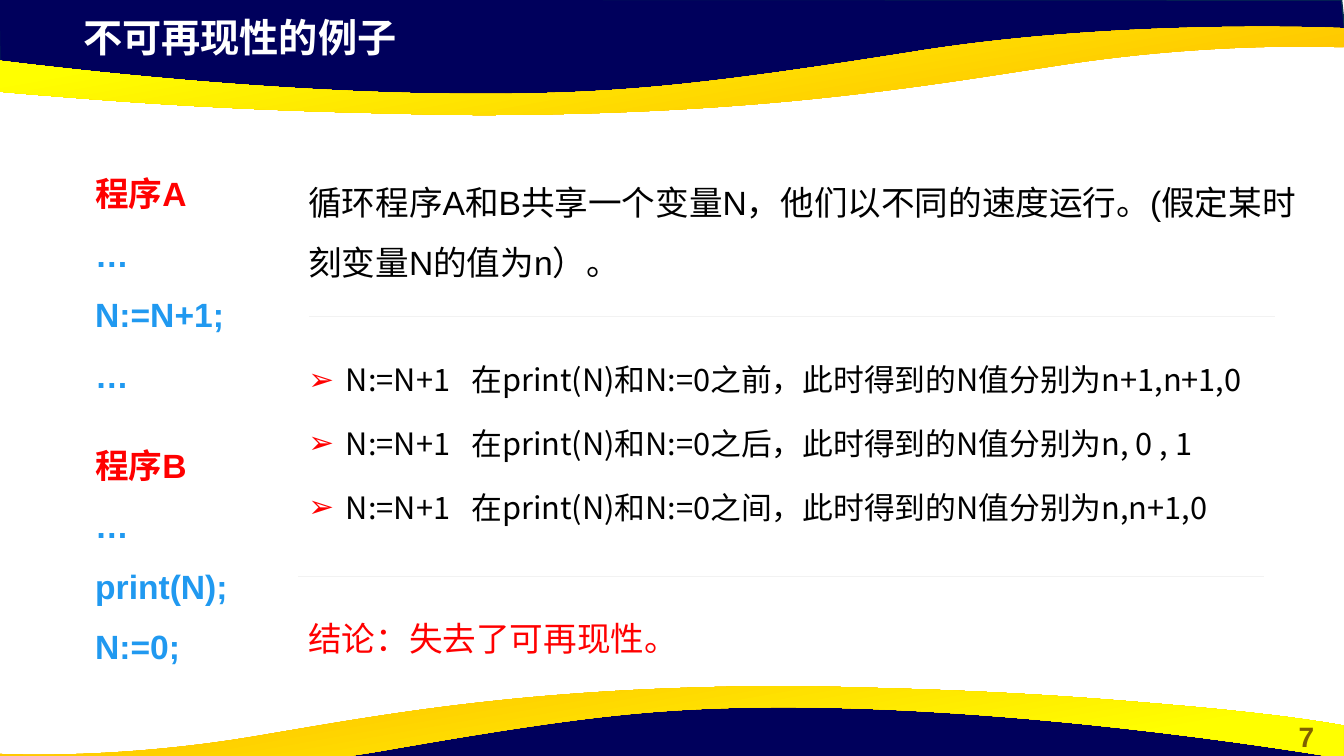
from lxml import etree
from pptx import Presentation
from pptx.dml.color import RGBColor
from pptx.enum.shapes import MSO_CONNECTOR
from pptx.enum.text import PP_ALIGN
from pptx.oxml.ns import qn
from pptx.util import Cm, Pt

LEFT, CENTER, JUSTIFY = PP_ALIGN.LEFT, PP_ALIGN.CENTER, PP_ALIGN.JUSTIFY
STRAIGHT = MSO_CONNECTOR.STRAIGHT
COLORS = {
    "navy": "00005C", "edge": "05304F", "orange": "FFC000", "yellow": "FFFF00",
    "olive": "806000", "white": "FFFFFF", "black": "000000", "red": "FF0000",
    "blue": "2099F0", "rule": "F2F2F2",
}
CJK = "Noto Sans CJK SC"


def color(name):
    return RGBColor.from_string(COLORS[name])


def write_paragraph(paragraph, text, size=24, font="Arial", fill="black", bold=False,
                    align=LEFT, spacing=None, before=0, after=0, bullet=None, tab=None):
    paragraph.alignment = align
    paragraph.line_spacing = spacing
    paragraph.space_before = Pt(before)
    paragraph.space_after = Pt(after)
    if bullet:
        properties = paragraph._p.get_or_add_pPr()
        properties.set("marL", str(Cm(0.95)))
        properties.set("indent", str(Cm(-0.95)))
        bullet_color = etree.SubElement(properties, qn("a:buClr"))
        etree.SubElement(bullet_color, qn("a:srgbClr"), val=COLORS["red"])
        etree.SubElement(properties, qn("a:buFont"), typeface="Arial")
        etree.SubElement(properties, qn("a:buChar"), char=bullet)
        tabs = etree.SubElement(properties, qn("a:tabLst"))
        etree.SubElement(tabs, qn("a:tab"), pos=str(Cm(tab)), algn="l")
    run = paragraph.add_run()
    run.text = text
    run.font.size = Pt(size)
    run.font.name = font
    run.font.bold = bold
    run.font.color.rgb = color(fill)


presentation = Presentation()
presentation.slide_width = Cm(33.87)
presentation.slide_height = Cm(19.05)
slide = presentation.slides.add_slide(presentation.slide_layouts[6])
shapes = slide.shapes

navy_top = [
    [(-0.03, -0.03)], [(0, 1.78)], [(7.44, 2.59)], [(14.2, 2.54)], [(20.19, 2.24)],
    [(25.81, 1.27)], [(31.45, 0.84)], [(33.91, 0.97)], [(33.81, 0)],
]
wave_top = [
    [(12.27, 2.9)],
    [(11.25, 2.9), (10.19, 2.87), (9.04, 2.84)],
    [(5.23, 2.74), (2.79, 2.54), (0.91, 2.39)],
    [(-2.24, 2.13), (-3.3, 1.91), (-3.38, 1.91)],
    [(-3.38, 1.07), (-3.38, 1.07), (-3.38, 1.07)],
    [(-3.38, 1.07), (5.54, 2.49), (13.13, 2.36)],
    [(15.9, 2.31), (17.98, 2.11), (23.24, 1.27)],
    [(28.47, 0.46), (33.86, 0.71), (33.86, 0.71)],
    [(33.86, 0.81)],
    [(33.86, 1.19)],
    [(33.78, 1.19)],
    [(33.15, 1.17), (30.35, 1.09), (26.8, 1.63)],
    [(23.32, 2.16), (19.35, 2.87), (12.27, 2.9)],
]
navy_bottom = [[(33.83 - x, 20.14 - y) for x, y in segment] for segment in navy_top]
wave_bottom = [[(30.78 - 0.91 * x, 20.19 - y) for x, y in segment] for segment in wave_top]

for outline, gradient_angle in [(navy_top, None), (wave_top, 100),
                                (navy_bottom, None), (wave_bottom, 280)]:
    corners = [(Cm(segment[-1][0]), Cm(segment[-1][1])) for segment in outline]
    builder = shapes.build_freeform(*corners[0])
    builder.add_line_segments(corners[1:])
    band = builder.convert_to_shape()
    band.shadow.inherit = False
    for line, segment in zip(list(band._element.iter(qn("a:lnTo"))), outline[1:]):
        if len(segment) == 3:
            line.tag = qn("a:cubicBezTo")
            for position, (x, y) in enumerate(segment[:2]):
                control = etree.Element(qn("a:pt"), x=str(Cm(x) - band.left), y=str(Cm(y) - band.top))
                line.insert(position, control)
    if gradient_angle is None:
        band.fill.solid()
        band.fill.fore_color.rgb = color("navy")
        band.line.color.rgb = color("edge")
        band.line.width = Pt(1)
    else:
        band.fill.gradient()
        band.fill.gradient_angle = gradient_angle
        stops = band.fill.gradient_stops
        for stop, position, name in zip(stops, (0.11, 0.78), ("orange", "yellow")):
            stop.position = position
            stop.color.rgb = color(name)
        band.line.fill.background()

heading = {"fill": "red", "bold": True, "spacing": 1.5}
code = {"fill": "blue", "bold": True, "spacing": 1.5}
case = {"size": 22, "font": CJK, "align": JUSTIFY, "spacing": 1.5, "after": 6,
        "bullet": "➢", "tab": 4.11}
text_boxes = [
    (32, 18.01, 1.85, 1.12, [("7", {"size": 20, "fill": "olive", "bold": True, "align": CENTER})]),
    (1.85, 0.22, 19.51, 1.45, [("不可再现性的例子", {"size": 28, "fill": "white", "bold": True})]),
    (2.15, 3.73, 4.57, 6.22, [("程序A", heading), ("…", code), ("N:=N+1;", code), ("…", code)]),
    (2.15, 10.57, 4.57, 6.22, [("程序B", heading), ("…", code), ("print(N);", code), ("N:=0;", code)]),
    (7.52, 3.94, 25.43, 12.9, [
        ("循环程序A和B共享一个变量N，他们以不同的速度运行。(假定某时刻变量N的值为n）。", {"spacing": 1.5}),
        ("N:=N+1\t在print(N)和N:=0之前，此时得到的N值分别为n+1,n+1,0", {**case, "before": 43}),
        ("N:=N+1\t在print(N)和N:=0之后，此时得到的N值分别为n, 0 , 1", case),
        ("N:=N+1\t在print(N)和N:=0之间，此时得到的N值分别为n,n+1,0", case),
        ("结论：失去了可再现性。", {"font": CJK, "fill": "red", "align": JUSTIFY,
                         "spacing": 1.5, "before": 45.5, "after": 6}),
    ]),
]
for left, top, width, height, lines in text_boxes:
    frame = shapes.add_textbox(Cm(left), Cm(top), Cm(width), Cm(height)).text_frame
    frame.word_wrap = True
    for index, (text, text_format) in enumerate(lines):
        paragraph = frame.add_paragraph() if index else frame.paragraphs[0]
        write_paragraph(paragraph, text, **text_format)

for left, top in [(7.79, 7.98), (7.52, 14.53)]:
    divider = shapes.add_connector(STRAIGHT, Cm(left), Cm(top), Cm(left + 24.33), Cm(top))
    divider.line.color.rgb = color("rule")
    divider.line.width = Pt(0.5)
    etree.SubElement(divider._element.spPr, qn("a:effectLst"))

presentation.save("out.pptx")
